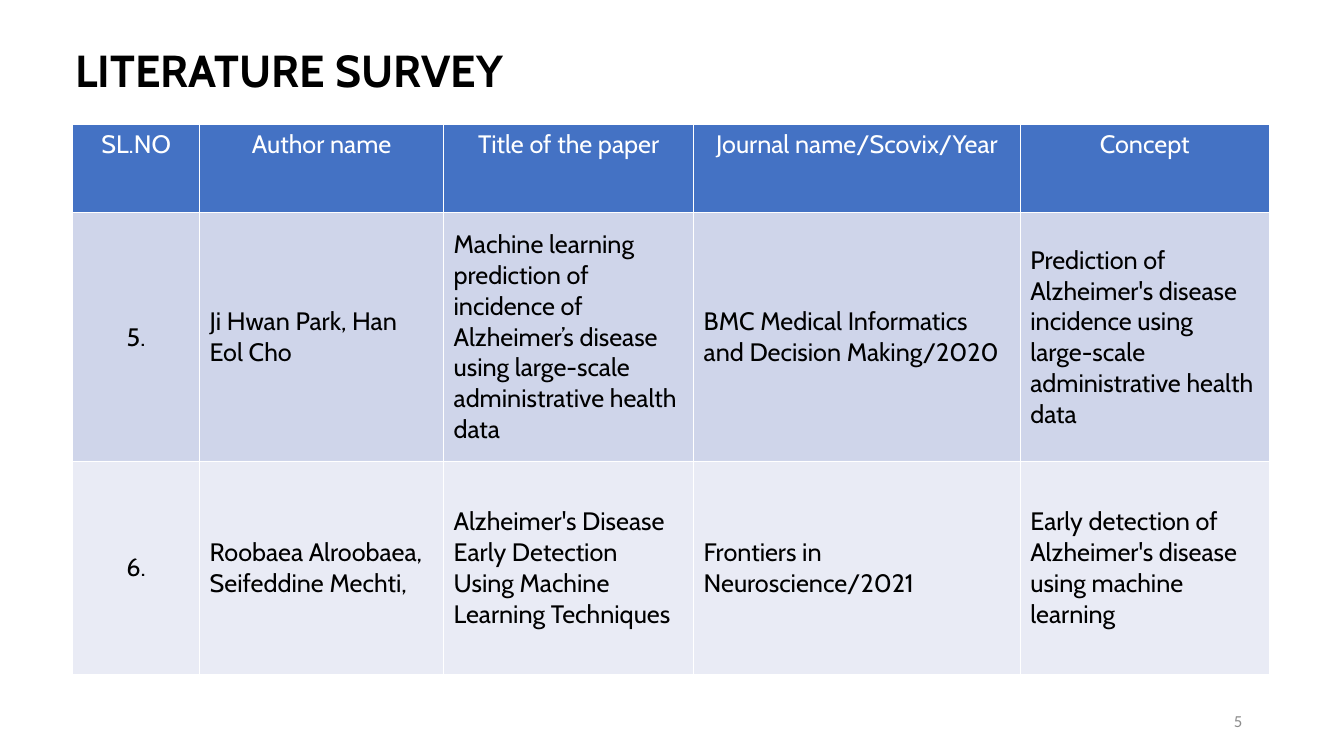
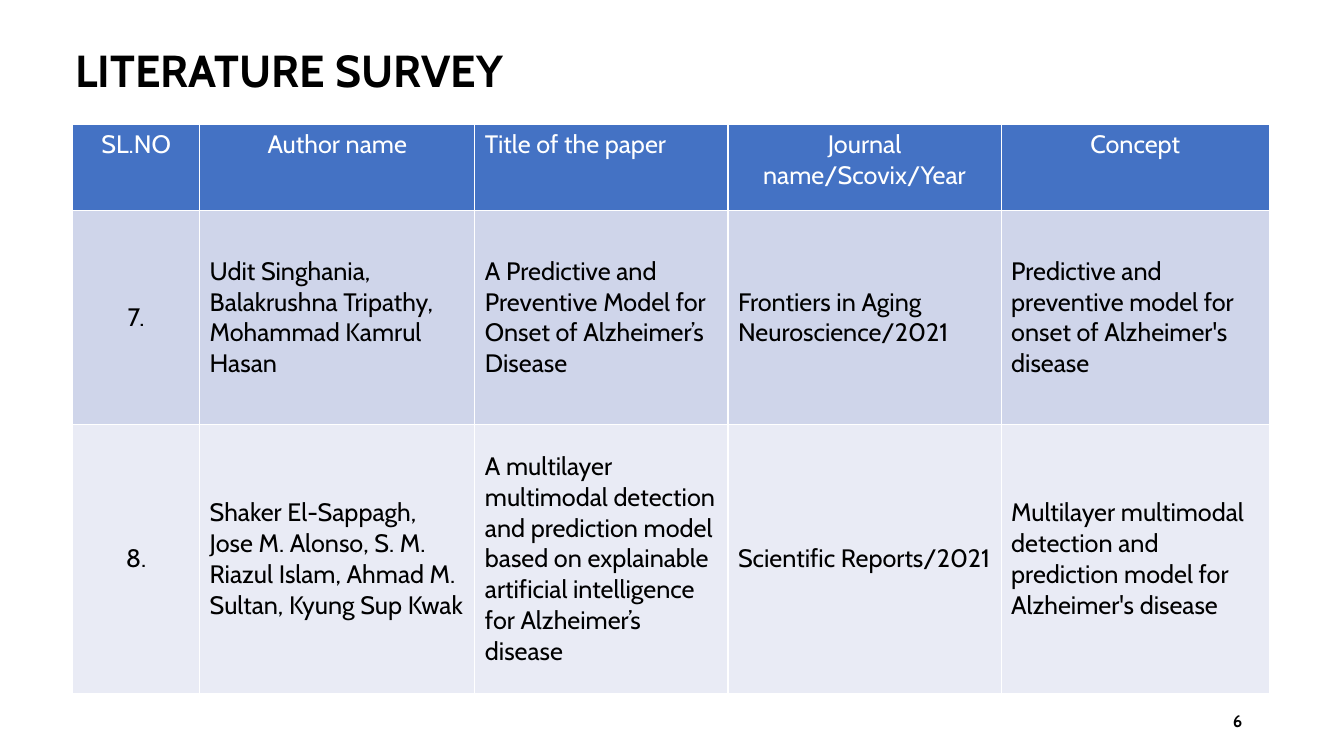
from dataclasses import dataclass
from lxml import etree
from pptx import Presentation
from pptx import util as u
from pptx.dml.color import RGBColor
from pptx.enum import text as t
from pptx.oxml.ns import qn

PX = 9144
LEFT, MID, RIGHT = t.PP_ALIGN.LEFT, t.PP_ALIGN.CENTER, t.PP_ALIGN.RIGHT


@dataclass(frozen=True)
class Theme:
    """Colours, fonts and type sizes of the deck."""
    ink: str = "000000"
    paper: str = "FFFFFF"
    head: str = "4472C4"
    bands: tuple = ("CFD5EA", "E9EBF5")
    grey: str = "8C8C8C"
    font: str = "Cabin"
    plain: str = "Calibri"
    title: int = 32
    body: int = 18
    foot: int = 12


THEME = Theme()


def px(n):
    """Turn px into EMU."""
    return u.Emu(n * PX)


def write(frame, words, size=THEME.body, color=THEME.ink, font=THEME.font,
          bold=False, align=LEFT, lead=None):
    """Put one formatted paragraph into a text frame."""
    frame.word_wrap = True
    para = frame.paragraphs[0]
    para.alignment = align
    if lead:
        para.line_spacing = lead
    run = para.add_run()
    run.text = words
    run.font.name, run.font.size, run.font.bold = font, u.Pt(size), bold
    run.font.color.rgb = RGBColor.from_string(color)


def edge(cell, color, points=1):
    """Draw all four borders of a cell."""
    props = cell._tc.get_or_add_tcPr()
    for i, side in enumerate("LRTB"):
        line = etree.Element(qn(f"a:ln{side}"), w=str(u.Pt(points)))
        solid = etree.SubElement(line, qn("a:solidFill"))
        etree.SubElement(solid, qn("a:srgbClr"), val=color)
        props.insert(i, line)


class Deck:
    """Holds the style and the current slide."""

    def __init__(self, theme):
        """Start a wide deck."""
        self.theme = theme
        self.prs = Presentation()
        self.prs.slide_width, self.prs.slide_height = px(1333), px(750)

    def page(self, name):
        """Add a slide with its title."""
        self.slide = self.prs.slides.add_slide(self.prs.slide_layouts[6])
        self.label(name, (65, 0, 1150, 145), size=self.theme.title,
                   bold=True, lead=0.9)

    def label(self, words, box, **style):
        """Add a text box centred on its height."""
        frame = self.slide.shapes.add_textbox(*map(px, box)).text_frame
        frame.vertical_anchor = t.MSO_ANCHOR.MIDDLE
        write(frame, words, **style)

    def number(self, n, **style):
        """Add the slide number."""
        self.label(str(n), (942, 695, 300, 40), size=self.theme.foot,
                   align=RIGHT, **style)

    def cell(self, cell, words, fill, anchor, **style):
        """Fill one table cell."""
        cell.fill.solid()
        cell.fill.fore_color.rgb = RGBColor.from_string(fill)
        cell.vertical_anchor = anchor
        edge(cell, self.theme.paper)
        write(cell.text_frame, words, **style)

    def grid(self, rows, wide, tall, aligns):
        """Add the survey table with a header and banded rows."""
        look = self.theme
        table = self.slide.shapes.add_table(
            len(rows), len(wide), px(72), px(123),
            px(sum(wide)), px(sum(tall))).table
        for col, w in zip(table.columns, wide):
            col.width = px(w)
        for row, h in zip(table.rows, tall):
            row.height = px(h)
        for r, row in enumerate(rows):
            for c, words in enumerate(row):
                if r == 0:
                    self.cell(table.cell(r, c), words, look.head,
                              t.MSO_ANCHOR.TOP, color=look.paper,
                              align=aligns[c])
                else:
                    self.cell(table.cell(r, c), words, look.bands[(r - 1) % 2],
                              t.MSO_ANCHOR.MIDDLE, align=LEFT if c else MID)


HEADS = ("SL.NO", "Author name", "Title of the paper",
         "Journal name/Scovix/Year", "Concept")

PAGES = (
    dict(
        no=5, foot=dict(font=THEME.plain, color=THEME.grey),
        wide=(126, 242, 248, 324, 247), tall=(88, 247, 211),
        aligns=(MID,) * 5,
        rows=(
            ("5.", "Ji Hwan Park, Han Eol Cho",
             "Machine learning prediction of incidence of Alzheimer’s disease "
             "using large-scale administrative health data",
             "BMC Medical Informatics and Decision Making/2020",
             "Prediction of Alzheimer's disease incidence using large-scale "
             "administrative health data"),
            ("6.", "Roobaea Alroobaea, Seifeddine Mechti,",
             "Alzheimer's Disease Early Detection Using Machine Learning "
             "Techniques",
             "Frontiers in Neuroscience/2021",
             "Early detection of Alzheimer's disease using machine learning"),
        )),
    dict(
        no=6, foot=dict(bold=True),
        wide=(126, 273, 251, 271, 266), tall=(86, 212, 267),
        aligns=(MID, MID, LEFT, MID, MID),
        rows=(
            ("7.", "Udit Singhania, Balakrushna Tripathy, Mohammad Kamrul "
             "Hasan",
             "A Predictive and Preventive Model for Onset of Alzheimer’s "
             "Disease",
             "Frontiers in Aging Neuroscience/2021",
             "Predictive and preventive model for onset of Alzheimer's "
             "disease"),
            ("8.", "Shaker El-Sappagh, Jose M. Alonso, S. M. Riazul Islam, "
             "Ahmad M. Sultan, Kyung Sup Kwak",
             "A multilayer multimodal detection and prediction model based on "
             "explainable artificial intelligence for Alzheimer’s disease",
             "Scientific Reports/2021",
             "Multilayer multimodal detection and prediction model for "
             "Alzheimer's disease"),
        )),
)


def main():
    """Build and save the deck."""
    deck = Deck(THEME)
    for page in PAGES:
        deck.page("LITERATURE SURVEY")
        deck.grid((HEADS, *page["rows"]), page["wide"], page["tall"],
                  page["aligns"])
        deck.number(page["no"], **page["foot"])
    deck.prs.save("out.pptx")


if __name__ == "__main__":
    main()
